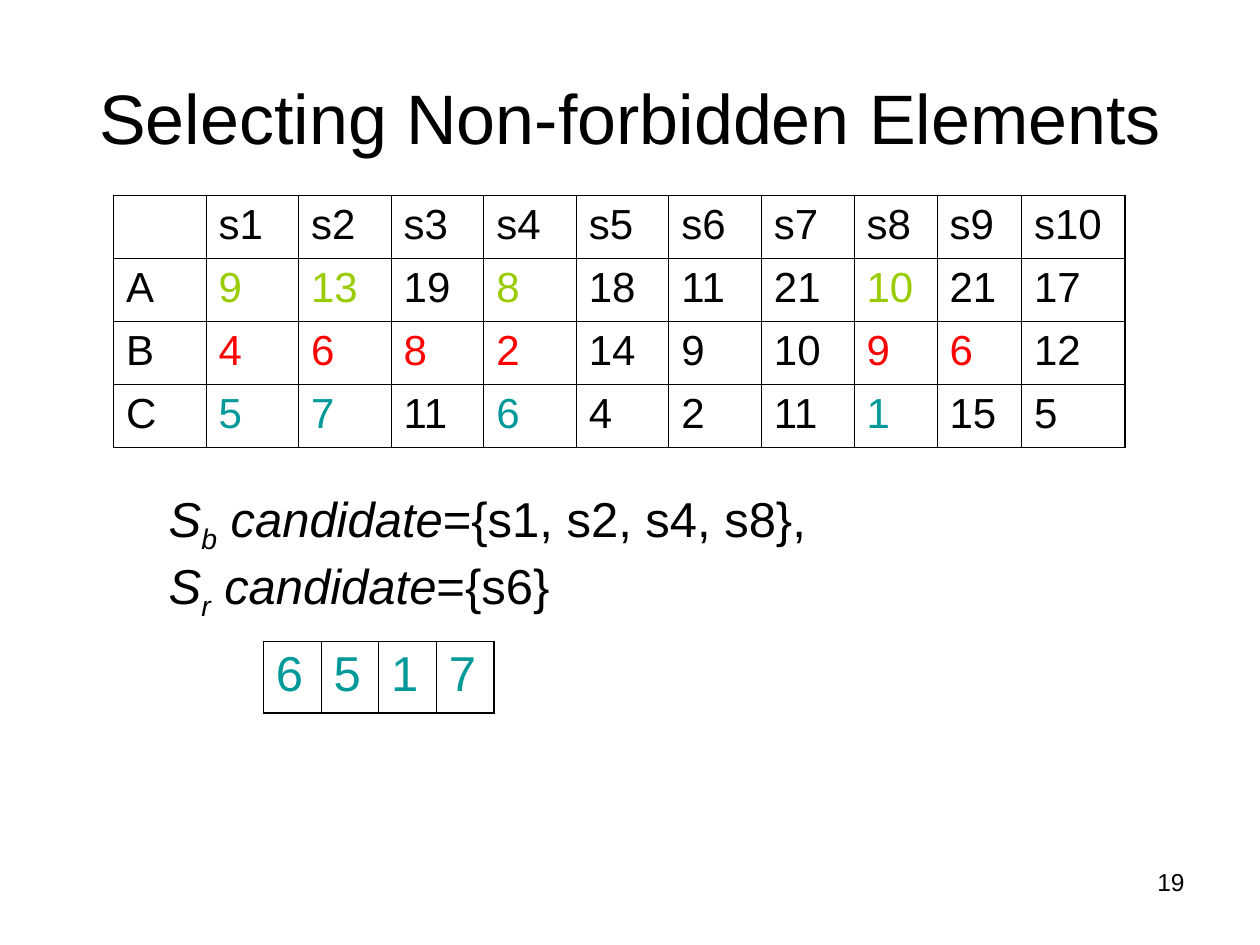
"""Build the slide on selecting non-forbidden elements from a score table."""
from dataclasses import dataclass

from lxml import etree
from pptx import Presentation
from pptx.dml.color import RGBColor
from pptx.enum import text
from pptx.oxml import ns
from pptx.util import Inches, Pt


@dataclass(frozen=True)
class Theme:
    font: str = "Arial"
    black: str = "000000"
    green: str = "99CC00"
    red: str = "FF0000"
    teal: str = "009999"
    title_size: float = 40
    body_size: float = 28
    cell_size: float = 24
    number_size: float = 14
    thin_line: float = 0.45
    thick_line: float = 1.08


@dataclass(frozen=True)
class Run:
    words: str
    size: float
    color: str
    italic: bool = False
    subscript: bool = False


@dataclass(frozen=True)
class Box:
    left: float
    top: float
    width: float
    height: float

    def lengths(self) -> tuple:
        return tuple(map(Inches, (self.left, self.top, self.width, self.height)))


@dataclass(frozen=True)
class ScoreRow:
    label: str
    scores: tuple
    color: str
    marked: tuple


THEME = Theme()
CANDIDATES = (1, 2, 4, 8)
SCORE_ROWS = (
    ScoreRow("A", (9, 13, 19, 8, 18, 11, 21, 10, 21, 17), THEME.green, CANDIDATES),
    ScoreRow("B", (4, 6, 8, 2, 14, 9, 10, 9, 6, 12), THEME.red, (1, 2, 3, 4, 8, 9)),
    ScoreRow("C", (5, 7, 11, 6, 4, 2, 11, 1, 15, 5), THEME.teal, CANDIDATES),
)
SCORE_WIDTHS = (5.88 / 8,) * 8 + (0.66, 0.67, 0.82)


def add_run(paragraph, run: Run) -> None:
    piece = paragraph.add_run()
    piece.text = run.words
    font = piece.font
    font.name, font.size, font.italic = THEME.font, Pt(run.size), run.italic
    font.color.rgb = RGBColor.from_string(run.color)
    if run.subscript:
        piece.font._element.set("baseline", "-25000")


def add_text(slide, box: Box, lines: list, align=text.PP_ALIGN.LEFT,
             anchor=text.MSO_ANCHOR.TOP, wrap: bool = True) -> None:
    frame = slide.shapes.add_textbox(*box.lengths()).text_frame
    frame.word_wrap, frame.vertical_anchor = wrap, anchor
    for index, runs in enumerate(lines):
        paragraph = frame.add_paragraph() if index else frame.paragraphs[0]
        paragraph.alignment = align
        for run in runs:
            add_run(paragraph, run)


def set_borders(cell, widths: dict) -> None:
    properties = cell._tc.get_or_add_tcPr()
    for side in "LRTB":
        line = etree.SubElement(properties, ns.qn(f"a:ln{side}"), w=str(Pt(widths[side])))
        fill = etree.SubElement(line, ns.qn("a:solidFill"))
        etree.SubElement(fill, ns.qn("a:srgbClr"), val=THEME.black)


def add_grid(slide, box: Box, column_widths: tuple, rows: list, thick_sides: str) -> None:
    last_row, last_column = len(rows) - 1, len(column_widths) - 1
    table = slide.shapes.add_table(len(rows), len(column_widths), *box.lengths()).table
    table.first_row = table.horz_banding = False
    for column, width in zip(table.columns, column_widths):
        column.width = Inches(width)
    for i, row in enumerate(rows):
        for j, run in enumerate(row):
            cell = table.cell(i, j)
            outer = {"L": j == 0, "R": j == last_column, "T": i == 0, "B": i == last_row}
            set_borders(cell, {
                side: THEME.thick_line if edge and side in thick_sides else THEME.thin_line
                for side, edge in outer.items()})
            cell.fill.background()
            if run.words:
                add_run(cell.text_frame.paragraphs[0], run)


def score_cells() -> list:
    def cell(words: object, color: str = THEME.black) -> Run:
        return Run(str(words), THEME.cell_size, color)

    header = [cell("")] + [cell(f"s{number}") for number in range(1, 11)]
    return [header] + [
        [cell(row.label)] + [
            cell(score, row.color if number in row.marked else THEME.black)
            for number, score in enumerate(row.scores, 1)]
        for row in SCORE_ROWS]


def candidate_line(subscript: str, members: str) -> list:
    size, color = THEME.body_size, THEME.black
    return [Run("S", size, color, italic=True),
            Run(subscript, size, color, italic=True, subscript=True),
            Run(" candidate", size, color, italic=True),
            Run(f"={{{members}", size, color)]


def main() -> None:
    presentation = Presentation()
    presentation.slide_width, presentation.slide_height = Inches(10), Inches(7.5)
    slide = presentation.slides.add_slide(presentation.slide_layouts[6])
    add_text(slide, Box(0.5, 0.3, 9, 1.25),
             [[Run("Selecting Non-forbidden Elements", THEME.title_size, THEME.black)]],
             text.PP_ALIGN.CENTER, text.MSO_ANCHOR.MIDDLE)
    selected = [Run(value, THEME.body_size, THEME.teal) for value in "6517"]
    add_grid(slide, Box(2.09, 5.09, 1.83, 0.57), (1.83 / 4,) * 4, [selected], "LRTB")
    add_grid(slide, Box(0.9, 1.55, 8.03, 2), SCORE_WIDTHS, score_cells(), "LRB")
    add_text(slide, Box(1.24, 3.83, 5.36, 1.16),
             [candidate_line("b", "s1, s2, s4, s8},"), candidate_line("r", "s6}")],
             wrap=False)
    add_text(slide, Box(7.17, 6.83, 2.33, 0.52),
             [[Run("19", THEME.number_size, THEME.black)]], text.PP_ALIGN.RIGHT)
    presentation.save("out.pptx")


if __name__ == "__main__":
    main()
